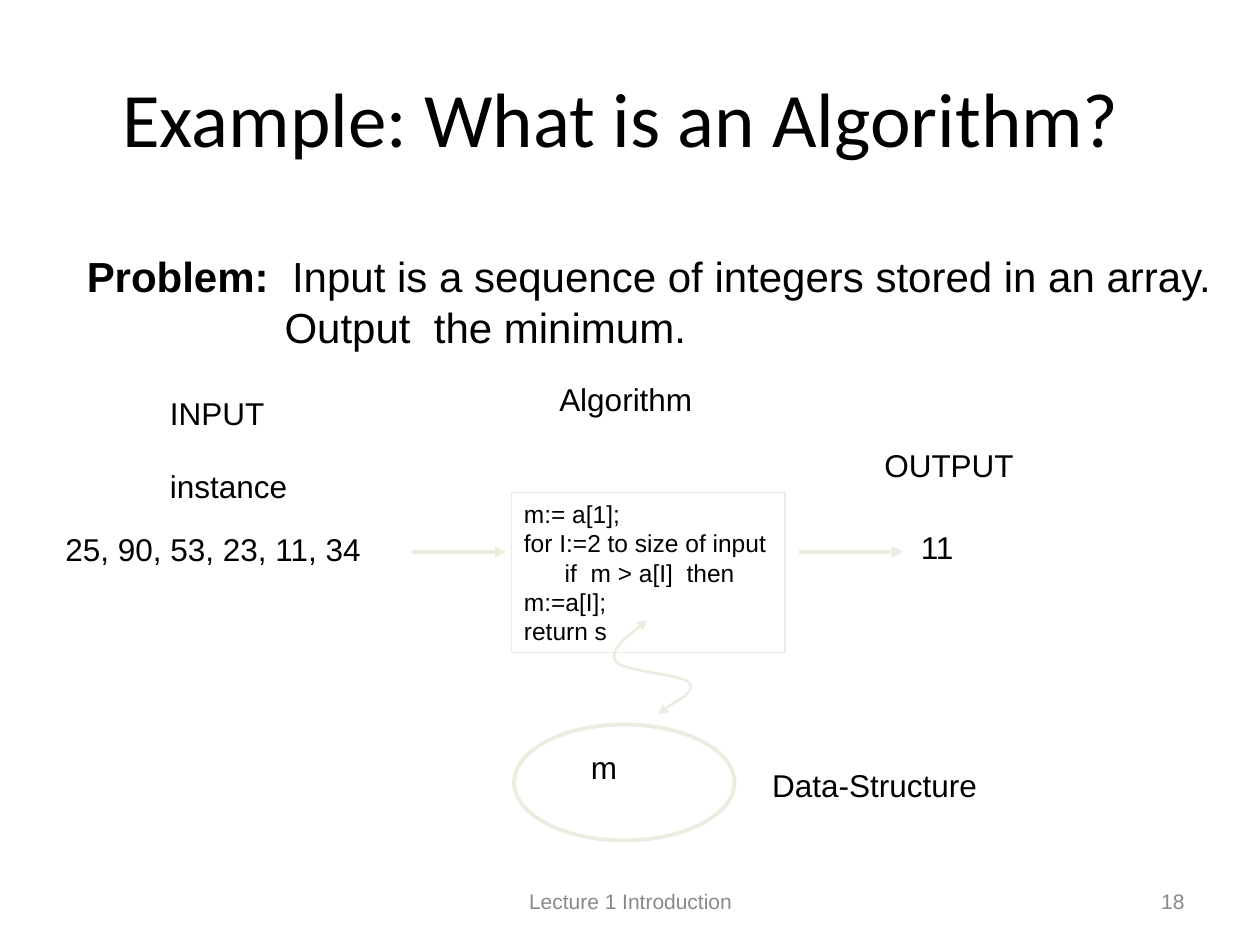
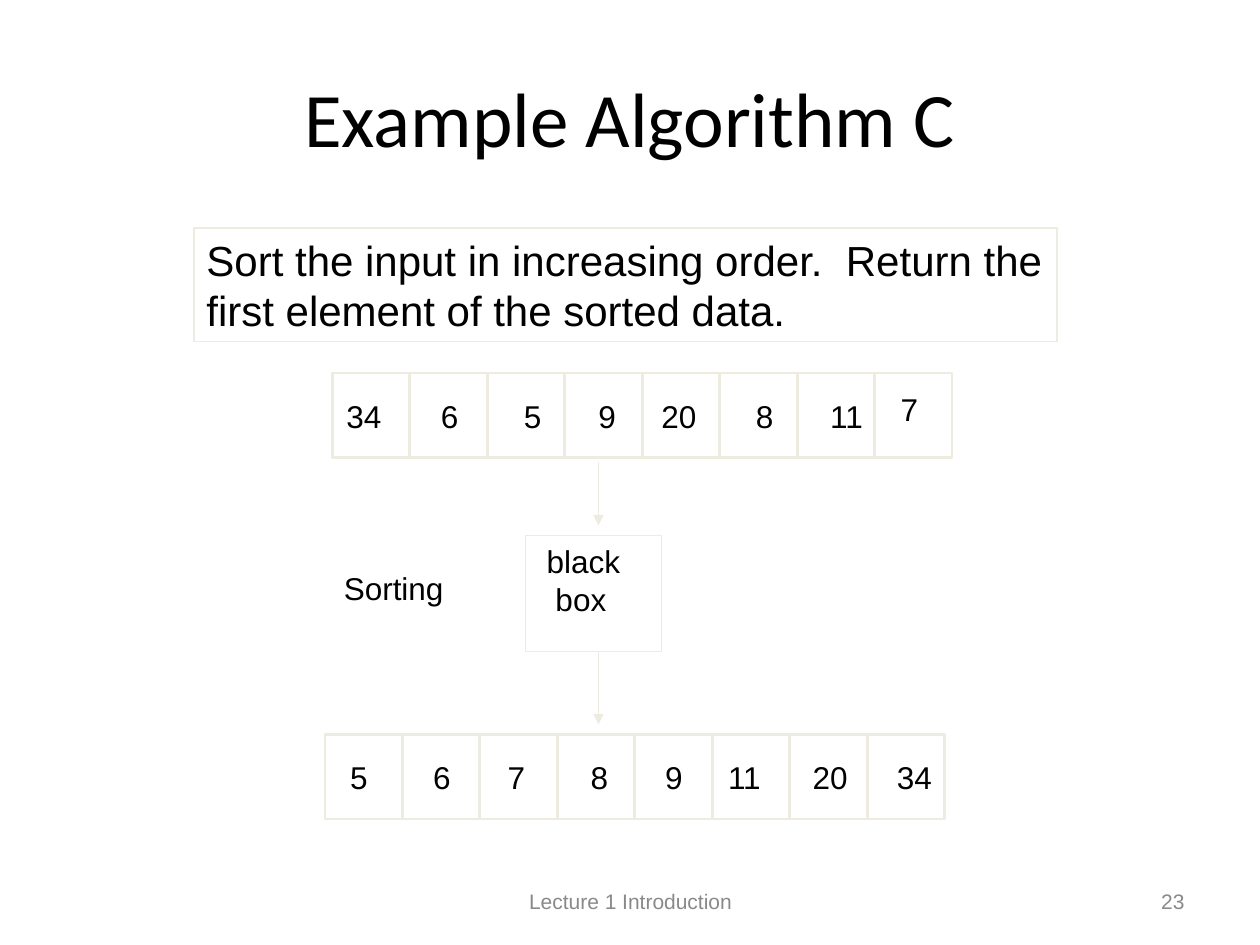
"""Build two lecture slides on algorithms."""
from dataclasses import dataclass

from lxml.etree import SubElement
from pptx import Presentation
from pptx.dml.color import RGBColor
from pptx.enum.shapes import MSO_CONNECTOR, MSO_SHAPE
from pptx.enum.text import MSO_ANCHOR, MSO_AUTO_SIZE, PP_ALIGN
from pptx.oxml.ns import qn
from pptx.util import Inches, Pt


@dataclass(frozen=True)
class Theme:
    """Colours, fonts and type sizes."""
    ink: RGBColor = RGBColor(0, 0, 0)
    grey: RGBColor = RGBColor(0x89, 0x89, 0x89)
    sand: RGBColor = RGBColor(0xEE, 0xEC, 0xE1)
    head: str = "Calibri"
    body: str = "Arial"
    title: int = 44
    lead: int = 24
    text: int = 18
    code: int = 14
    foot: int = 12


THEME = Theme()


@dataclass(frozen=True)
class Label:
    """Text in a box, one entry a paragraph."""
    left: float
    top: float
    width: float
    lines: tuple[str, ...]
    height: float = 0.4
    size: int = THEME.text
    wrap: bool = False
    indents: tuple[float, ...] = ()


@dataclass(frozen=True)
class Arrow:
    """A straight arrow."""
    start: tuple[float, float]
    end: tuple[float, float]
    weight: float


@dataclass(frozen=True)
class Row:
    """A row of array cells with a label for each value."""
    left: float
    top: float
    values: tuple[tuple[str, float], ...]
    raised: str = ""


def style(para, size: int, name: str = THEME.body, color: RGBColor = THEME.ink) -> None:
    """Format every run of a paragraph."""
    for run in para.runs:
        run.font.size = Pt(size)
        run.font.name = name
        run.font.color.rgb = color


def fill_text(shape, label: Label) -> None:
    """Write a label into a shape."""
    frame = shape.text_frame
    frame.word_wrap = label.wrap
    frame.vertical_anchor = MSO_ANCHOR.TOP
    frame.text = "\n".join(label.lines)
    for para in frame.paragraphs:
        para.alignment = PP_ALIGN.LEFT
        style(para, label.size)
    for para, indent in zip(frame.paragraphs, label.indents):
        props = para._p.get_or_add_pPr()
        props.set("marL", str(Inches(indent)))
        props.set("indent", "0")


def add_label(slide, label: Label):
    """Add a text box and return it."""
    box = slide.shapes.add_textbox(Inches(label.left), Inches(label.top),
                                   Inches(label.width), Inches(label.height))
    fill_text(box, label)
    box.text_frame.auto_size = MSO_AUTO_SIZE.SHAPE_TO_FIT_TEXT
    return box


def outline(shape, weight: float) -> None:
    """Give a shape a sand line, no fill and no shadow."""
    shape.shadow.inherit = False
    shape.fill.background()
    shape.line.color.rgb = THEME.sand
    shape.line.width = Pt(weight)


def add_frame(slide, kind: MSO_SHAPE, left: float, top: float, width: float,
              height: float, weight: float):
    """Add an outlined preset shape."""
    shape = slide.shapes.add_shape(kind, Inches(left), Inches(top),
                                   Inches(width), Inches(height))
    outline(shape, weight)
    return shape


def add_box(slide, label: Label) -> None:
    """Add an outlined rectangle with text."""
    box = add_frame(slide, MSO_SHAPE.RECTANGLE, label.left, label.top,
                    label.width, label.height, 0.75)
    fill_text(box, label)


def add_tips(shape, *ends: str) -> None:
    """Put triangle tips on the ends of a line."""
    line = shape._element.spPr.find(qn("a:ln"))
    for end in ends:
        SubElement(line, qn(f"a:{end}"), type="triangle")


def add_arrow(slide, arrow: Arrow) -> None:
    """Draw a straight arrow."""
    points = [Inches(n) for n in (*arrow.start, *arrow.end)]
    line = slide.shapes.add_connector(MSO_CONNECTOR.STRAIGHT, *points)
    line.line.color.rgb = THEME.sand
    line.line.width = Pt(arrow.weight)
    add_tips(line, "tailEnd")
    SubElement(line._element.spPr, qn("a:effectLst"))


def add_curve(slide, points: list[tuple[float, float]], weight: float) -> None:
    """Draw a two-way arrow along cubic curves."""
    start, *rest = [(Inches(x), Inches(y)) for x, y in points]
    maker = slide.shapes.build_freeform(*start)
    maker.add_line_segments(rest, close=False)
    curve = maker.convert_to_shape()
    outline(curve, weight)
    add_tips(curve, "headEnd", "tailEnd")
    track = curve._element.xpath(".//a:path")[0]
    steps = track.findall(qn("a:lnTo"))
    for first in range(0, len(steps), 3):
        bend = SubElement(track, qn("a:cubicBezTo"))
        for step in steps[first:first + 3]:
            bend.append(step[0])
            track.remove(step)


def add_row(slide, row: Row) -> None:
    """Draw the cells of an array and their values."""
    for index, (value, left) in enumerate(row.values):
        add_frame(slide, MSO_SHAPE.RECTANGLE, row.left + 0.615 * index, row.top,
                  0.61, 0.67, 1.5)
        drop = 0.09 if value == row.raised else 0.14
        add_label(slide, Label(left, row.top + drop,
                               0.2 + 0.14 * len(value), (value,)))


def add_foot(slide, left: float, width: float, text: str, align: PP_ALIGN) -> None:
    """Add one part of the footer."""
    box = slide.shapes.add_textbox(Inches(left), Inches(6.95), Inches(width), Inches(0.4))
    frame = box.text_frame
    frame.word_wrap = True
    frame.vertical_anchor = MSO_ANCHOR.MIDDLE
    frame.text = text
    para = frame.paragraphs[0]
    para.alignment = align
    style(para, THEME.foot, color=THEME.grey)


def add_slide(deck, title: str, number: int):
    """Add a slide with its title and footer."""
    slide = deck.slides.add_slide(deck.slide_layouts[5])
    head = slide.shapes.title
    head.left, head.top = Inches(0.5), Inches(0.3)
    head.width, head.height = Inches(9), Inches(1.25)
    head.text_frame.text = title
    head.text_frame.vertical_anchor = MSO_ANCHOR.MIDDLE
    para = head.text_frame.paragraphs[0]
    para.alignment = PP_ALIGN.CENTER
    style(para, THEME.title, THEME.head)
    add_foot(slide, 3.42, 3.17, "Lecture 1 Introduction", PP_ALIGN.CENTER)
    add_foot(slide, 7.17, 2.33, str(number), PP_ALIGN.RIGHT)
    return slide


def build_problem(deck) -> None:
    """Build the slide on what an algorithm is."""
    slide = add_slide(deck, "Example: What is an Algorithm? ", 18)
    problem = add_label(slide, Label(
        0.59, 1.94, 9.41, ("Problem:", "Output  the minimum."), 0.9,
        THEME.lead, True, (0, 1.57)))
    para = problem.text_frame.paragraphs[0]
    para.add_run().text = "  Input is a sequence of integers stored in an array."
    style(para, THEME.lead)
    para.runs[0].font.bold = True
    for label in (
        Label(0.42, 4.16, 2.58, ("25, 90, 53, 23, 11, 34",)),
        Label(1.25, 3.08, 0.97, ("INPUT",)),
        Label(1.25, 3.66, 1.15, ("instance",)),
        Label(6.92, 3.49, 1.25, ("OUTPUT",)),
        Label(7.21, 4.14, 0.48, ("11",)),
        Label(4.34, 2.97, 1.28, ("Algorithm",)),
        Label(6.03, 6.03, 1.85, ("Data-Structure",)),
        Label(4.59, 5.89, 0.41, ("m",)),
    ):
        add_label(slide, label)
    add_box(slide, Label(4.06, 3.91, 2.17, (
        "m:= a[1];",
        "for I:=2 to size of input",
        "      if  m > a[I]  then  m:=a[I];",
        "return s",
    ), 1.27, THEME.code, True))
    add_arrow(slide, Arrow((3.27, 4.38), (4.02, 4.38), 2.25))
    add_arrow(slide, Arrow((6.34, 4.38), (7.17, 4.38), 2.25))
    add_curve(slide, [
        (5.14, 4.92), (4.99, 5.04), (4.83, 5.17), (4.89, 5.25), (4.94, 5.33),
        (5.42, 5.35), (5.47, 5.42), (5.53, 5.49), (5.26, 5.62), (5.22, 5.67),
    ], 1.5)
    add_frame(slide, MSO_SHAPE.OVAL, 4.08, 5.75, 1.75, 0.92, 2.25)


def build_sort(deck) -> None:
    """Build the slide on finding the minimum by sorting."""
    slide = add_slide(deck, "Example Algorithm C", 23)
    add_box(slide, Label(1.54, 1.81, 6.85, (
        "Sort the input in increasing order.  Return the",
        "first element of the sorted data.",
    ), 0.9, THEME.lead, True))
    add_row(slide, Row(2.64, 2.96, (
        ("34", 2.65), ("6", 3.4), ("5", 4.06), ("9", 4.65),
        ("20", 5.15), ("8", 5.9), ("11", 6.49), ("7", 7.05)), "7"))
    add_row(slide, Row(2.58, 5.83, (
        ("5", 2.68), ("6", 3.34), ("7", 3.93), ("8", 4.59),
        ("9", 5.18), ("11", 5.68), ("20", 6.35), ("34", 7.02))))
    add_box(slide, Label(4.17, 4.25, 1.08, ("black", "box"), 0.92,
                         wrap=True, indents=(0.07, 0.14)))
    add_label(slide, Label(2.63, 4.47, 1.01, ("Sorting",)))
    add_arrow(slide, Arrow((4.75, 3.67), (4.75, 4.17), 0.75))
    add_arrow(slide, Arrow((4.75, 5.17), (4.75, 5.75), 0.75))


def main() -> None:
    """Build and save the deck."""
    deck = Presentation()
    deck.slide_width, deck.slide_height = Inches(10), Inches(7.5)
    build_problem(deck)
    build_sort(deck)
    deck.save("out.pptx")


if __name__ == "__main__":
    main()
